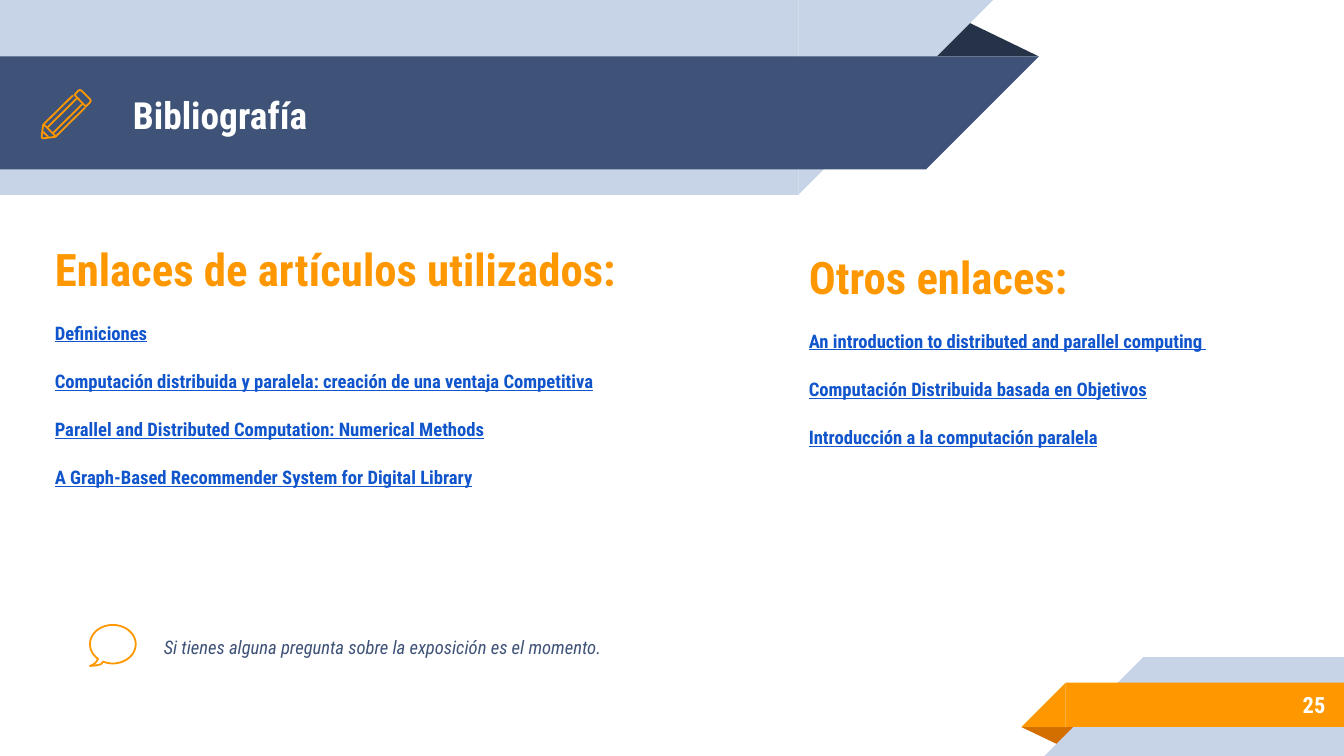
import math

import pptx
import pptx.dml.color
import pptx.enum.shapes
import pptx.enum.text
import pptx.util

COLORS = {"pale": "C7D3E6", "navy": "3F5378", "dark": "263248", "orange": "FF9800",
          "rust": "D26F00", "link": "1155CC", "white": "FFFFFF"}
FONT = "Roboto Condensed"
SHAPE = pptx.enum.shapes.MSO_SHAPE
ALIGN = pptx.enum.text.PP_ALIGN
ANCHOR = pptx.enum.text.MSO_ANCHOR

# The slide is a grid of 100 columns by 56.25 rows with square cells.
COLS, ROWS = 100, 56.25
CELL = pptx.util.Inches(10) / COLS

TITLE = {"size": 20, "bold": True, "color": "white"}
HEADING = {"size": 24, "bold": True, "color": "orange"}
LINK = {"size": 10, "bold": True, "underline": True, "color": "link"}
NOTE = {"size": 10, "italic": True, "color": "navy"}
NUMBER = {"size": 12, "bold": True, "color": "white"}

ARTICLES = [
    "Definiciones",
    "Computación distribuida y paralela: creación de una ventaja Competitiva",
    "Parallel and Distributed Computation: Numerical Methods",
    "A Graph-Based Recommender System for Digital Library",
]
OTHERS = [
    "An introduction to distributed and parallel computing ",
    "Computación Distribuida basada en Objetivos",
    "Introducción a la computación paralela",
]


def emu(cells):
    return round(cells * CELL)


def rgb(name):
    return pptx.dml.color.RGBColor.from_string(COLORS[name])


def add_block(slide, kind, box, color, rotation=0):
    s = slide.shapes.add_shape(kind, *map(emu, box))
    s.shadow.inherit = False
    s.fill.solid()
    s.fill.fore_color.rgb = rgb(color)
    s.line.fill.background()
    s.rotation = rotation
    return s


def add_fold(slide, box, color, rotation=0):
    s = add_block(slide, SHAPE.ISOSCELES_TRIANGLE, box, color, rotation)
    s.adjustments[0] = 0.32


def add_band(slide, box, color, slant):
    """Draw a bar whose left or right end is cut at 45 degrees."""
    x, y, w, h = box
    if slant == "right":
        bar_x, tip_x, rotation = x, x + w - h, 90
    else:
        bar_x, tip_x, rotation = x + h, x, 270
    add_block(slide, SHAPE.RECTANGLE, (bar_x, y, w - h, h), color)
    add_block(slide, SHAPE.RIGHT_TRIANGLE, (tip_x, y, h, h), color, rotation)


def add_text(slide, box, lines, anchor=ANCHOR.TOP, align=ALIGN.LEFT):
    """Write lines given as (text, font style, line spacing)."""
    tf = slide.shapes.add_textbox(*map(emu, box)).text_frame
    tf.word_wrap = True
    tf.vertical_anchor = anchor
    for side in ("left", "right", "top", "bottom"):
        setattr(tf, "margin_" + side, emu(1))
    for i, (text, style, spacing) in enumerate(lines):
        p = tf.paragraphs[0] if i == 0 else tf.add_paragraph()
        p.alignment = align
        p.line_spacing = spacing
        p.space_before = pptx.util.Pt(12 if i else 0)
        r = p.add_run()
        r.text = text
        r.font.name = FONT
        for key, value in style.items():
            if key == "color":
                r.font.color.rgb = rgb(value)
            else:
                setattr(r.font, key, pptx.util.Pt(value) if key == "size" else value)


def add_stroke(slide, box, points, close=False):
    """Draw an orange outline; points are shares of the box."""
    x, y, w, h = box
    pts = [(emu(x + px * w), emu(y + py * h)) for px, py in points]
    builder = slide.shapes.build_freeform(*pts[0])
    builder.add_line_segments(pts[1:], close=close)
    s = builder.convert_to_shape()
    s.shadow.inherit = False
    s.fill.background()
    s.line.color.rgb = rgb("orange")
    s.line.width = pptx.util.Pt(0.96)


def add_pencil(slide, box):
    eraser = [(0.67, 0.1), (0.75, 0.01), (0.78, 0), (0.81, 0.01), (0.99, 0.19),
              (1, 0.22), (0.99, 0.25), (0.9, 0.34)]
    strokes = [
        [(0.84, 0.28), (0.22, 0.9)],
        [(0.64, 0.11), (0.04, 0.71), (0.03, 0.73), (0, 0.97), (0.01, 0.99),
         (0.03, 1), (0.27, 0.97), (0.29, 0.96), (0.89, 0.36)],
        [(0.11, 0.78), (0.73, 0.16)],
        [(0.14, 0.97), (0.03, 0.86)],
        [(0.05, 0.72), (0.28, 0.95)],
    ]
    add_stroke(slide, box, eraser, close=True)
    for points in strokes:
        add_stroke(slide, box, points)


def add_bubble(slide, box):
    angles = [math.radians(a) for a in range(130, 476, 5)]
    oval = [(0.5 + 0.5 * math.cos(a), 0.47 + 0.47 * math.sin(a)) for a in angles]
    tail = [(0.24, 0.96), (0.12, 0.99), (0, 1), (0.08, 0.96), (0.13, 0.91)]
    add_stroke(slide, box, oval + tail, close=True)


def add_banner(slide, box):
    x, y, w, h = box
    add_fold(slide, (x + w - 8.5, y + 1.4, 8.5, 2.8), "dark")
    add_band(slide, (x, y, w - 3.4, h), "pale", "right")
    add_band(slide, (x, y + 4.2, w, 8.4), "navy", "right")
    add_text(slide, (x + 8.9, y + 4.3, 60.1, 8.4), [("Bibliografía", TITLE, 1)], ANCHOR.MIDDLE)
    add_pencil(slide, (x + 3.1, y + 6.7, 3.65, 3.6))


def add_footer(slide, box):
    x, y, w, h = box
    add_fold(slide, (x, y + 5.2, 4.3, 1.4), "rust", 180)
    add_band(slide, (x + 1.7, y, w - 1.7, h), "pale", "left")
    add_band(slide, (x, y + 1.9, w, 3.3), "orange", "left")
    add_text(slide, (x + w - 16.7, y + 1.8, 16.3, 3.5), [("25", NUMBER, 1)],
             ANCHOR.MIDDLE, ALIGN.RIGHT)


def add_links(slide, box, heading, links, heading_spacing):
    lines = [(heading, HEADING, heading_spacing)]
    add_text(slide, box, lines + [(link, LINK, 1.15) for link in links])


def add_question(slide, box):
    x, y, w, h = box
    add_bubble(slide, (x, y, 3.4, 3.05))
    add_text(slide, (x + 4.5, y, w - 4.5, h),
             [("Si tienes alguna pregunta sobre la exposición es el momento.", NOTE, 1)])


def main():
    prs = pptx.Presentation()
    prs.slide_width, prs.slide_height = emu(COLS), emu(ROWS)
    slide = prs.slides.add_slide(prs.slide_layouts[6])
    add_banner(slide, (0, 0, 77.3, 14.5))
    add_footer(slide, (76, 48.9, 24, 7.35))
    add_links(slide, (3.1, 17, 45.6, 31.2), "Enlaces de artículos utilizados:", ARTICLES, 1)
    add_links(slide, (59.2, 17, 37.7, 31.2), "Otros enlaces:", OTHERS, 1.15)
    add_question(slide, (6.7, 46.5, 71.6, 5.9))
    prs.save("out.pptx")


if __name__ == "__main__":
    main()
